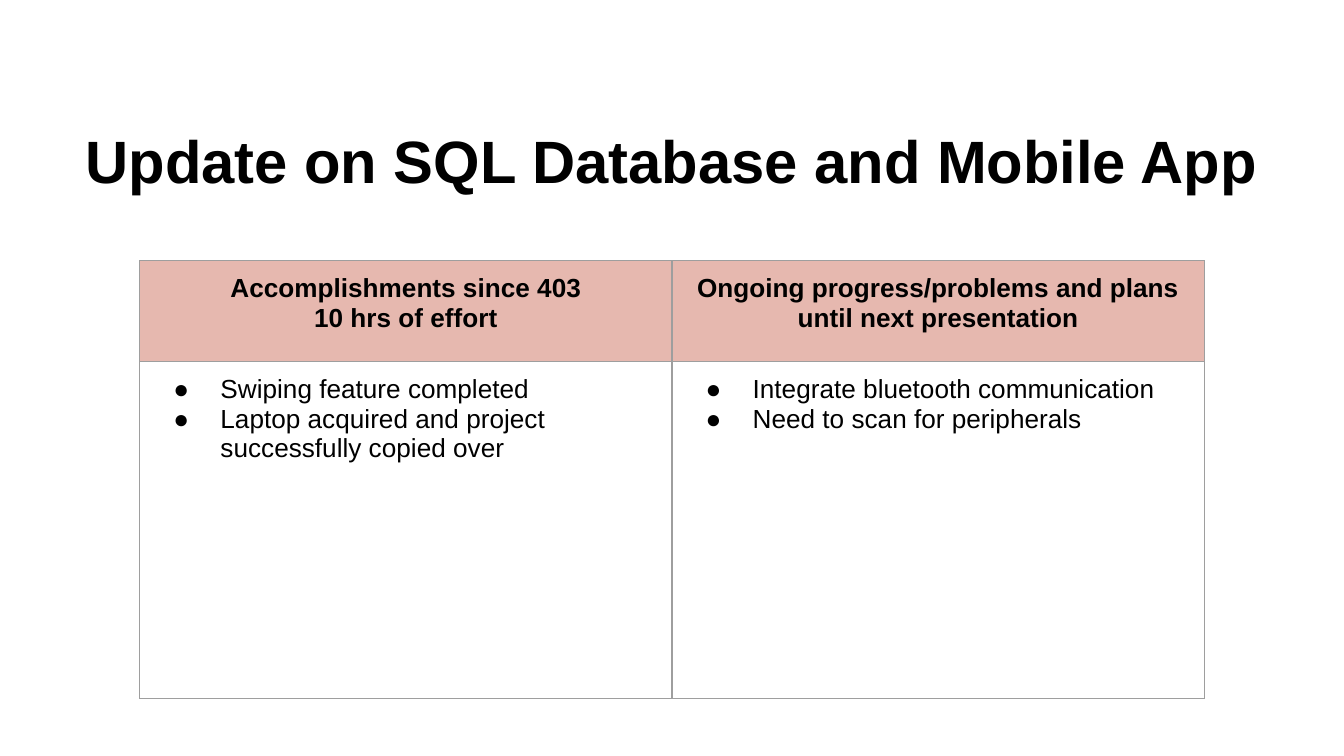
from lxml import etree
from pptx import Presentation
from pptx.dml.color import RGBColor
from pptx.enum.text import MSO_ANCHOR, PP_ALIGN
from pptx.oxml.ns import qn
from pptx.util import Inches, Pt

CENTER, LEFT = PP_ALIGN.CENTER, PP_ALIGN.LEFT
TOP, MIDDLE = MSO_ANCHOR.TOP, MSO_ANCHOR.MIDDLE
BLACK = RGBColor(0x00, 0x00, 0x00)
WHITE = RGBColor(0xFF, 0xFF, 0xFF)
ROSE = RGBColor(0xE6, 0xB8, 0xAF)
GREY = RGBColor(0x9E, 0x9E, 0x9E)
FONT = "Arial"
INSET = Inches(0.1)

TITLE = "Update on SQL Database and Mobile App"
HEADINGS = [
    ["Accomplishments since 403", "10 hrs of effort"],
    ["Ongoing progress/problems and plans until next presentation"],
]
POINTS = [
    ["Swiping feature completed",
     "Laptop acquired and project successfully copied over"],
    ["Integrate bluetooth communication", "Need to scan for peripherals"],
]


def set_insets(holder):
    holder.margin_left = holder.margin_right = INSET
    holder.margin_top = holder.margin_bottom = INSET


def write_lines(frame, lines, size, bold, align):
    for index, line in enumerate(lines):
        paragraph = frame.paragraphs[0] if index == 0 else frame.add_paragraph()
        paragraph.alignment = align
        run = paragraph.add_run()
        run.text = line
        run.font.name = FONT
        run.font.size = Pt(size)
        run.font.bold = bold
        run.font.color.rgb = BLACK


def add_solid_fill(parent, color):
    fill = etree.SubElement(parent, qn("a:solidFill"))
    etree.SubElement(fill, qn("a:srgbClr"), val=str(color))


def add_bullet(paragraph):
    properties = paragraph._p.get_or_add_pPr()
    properties.set("marL", str(Inches(0.5)))
    properties.set("indent", str(Inches(-0.35)))
    color = etree.SubElement(properties, qn("a:buClr"))
    etree.SubElement(color, qn("a:srgbClr"), val=str(BLACK))
    etree.SubElement(properties, qn("a:buFont"), typeface=FONT)
    etree.SubElement(properties, qn("a:buChar"), char="●")


def style_cell(cell, color):
    """Set insets, borders and fill; the borders must precede the fill in XML."""
    set_insets(cell)
    cell.vertical_anchor = TOP
    properties = cell._tc.get_or_add_tcPr()
    for side in ("a:lnL", "a:lnR", "a:lnT", "a:lnB"):
        border = etree.SubElement(properties, qn(side), w=str(Pt(0.75)))
        add_solid_fill(border, GREY)
    if color is None:
        cell.fill.background()
    else:
        cell.fill.solid()
        cell.fill.fore_color.rgb = color


def add_title(slide, left, top, width, height):
    frame = slide.shapes.add_textbox(left, top, width, height).text_frame
    frame.word_wrap = True
    frame.vertical_anchor = MIDDLE
    set_insets(frame)
    write_lines(frame, [TITLE], 32, True, CENTER)


def add_progress_table(slide, left, top, width, height):
    table = slide.shapes.add_table(
        2, len(HEADINGS), left, top, width, height).table
    table.first_row = table.horz_banding = False
    for column in table.columns:
        column.width = width // len(HEADINGS)
    heading_height = Inches(0.75)
    table.rows[0].height = heading_height
    table.rows[1].height = height - heading_height

    for index, (heading, points) in enumerate(zip(HEADINGS, POINTS)):
        heading_cell, points_cell = table.cell(0, index), table.cell(1, index)
        style_cell(heading_cell, ROSE)
        write_lines(heading_cell.text_frame, heading, 14, True, CENTER)
        style_cell(points_cell, None)
        write_lines(points_cell.text_frame, points, 14, False, LEFT)
        for paragraph in points_cell.text_frame.paragraphs:
            add_bullet(paragraph)


def main():
    presentation = Presentation()
    presentation.slide_width = Inches(10)
    presentation.slide_height = presentation.slide_width * 9 // 16
    slide = presentation.slides.add_slide(presentation.slide_layouts[6])
    slide.background.fill.solid()
    slide.background.fill.fore_color.rgb = WHITE
    add_title(slide, Inches(0.5), Inches(0.86), Inches(9), Inches(0.66))
    add_progress_table(
        slide, Inches(1.04), Inches(1.94), Inches(7.92), Inches(3.26))
    presentation.save("out.pptx")


if __name__ == "__main__":
    main()
